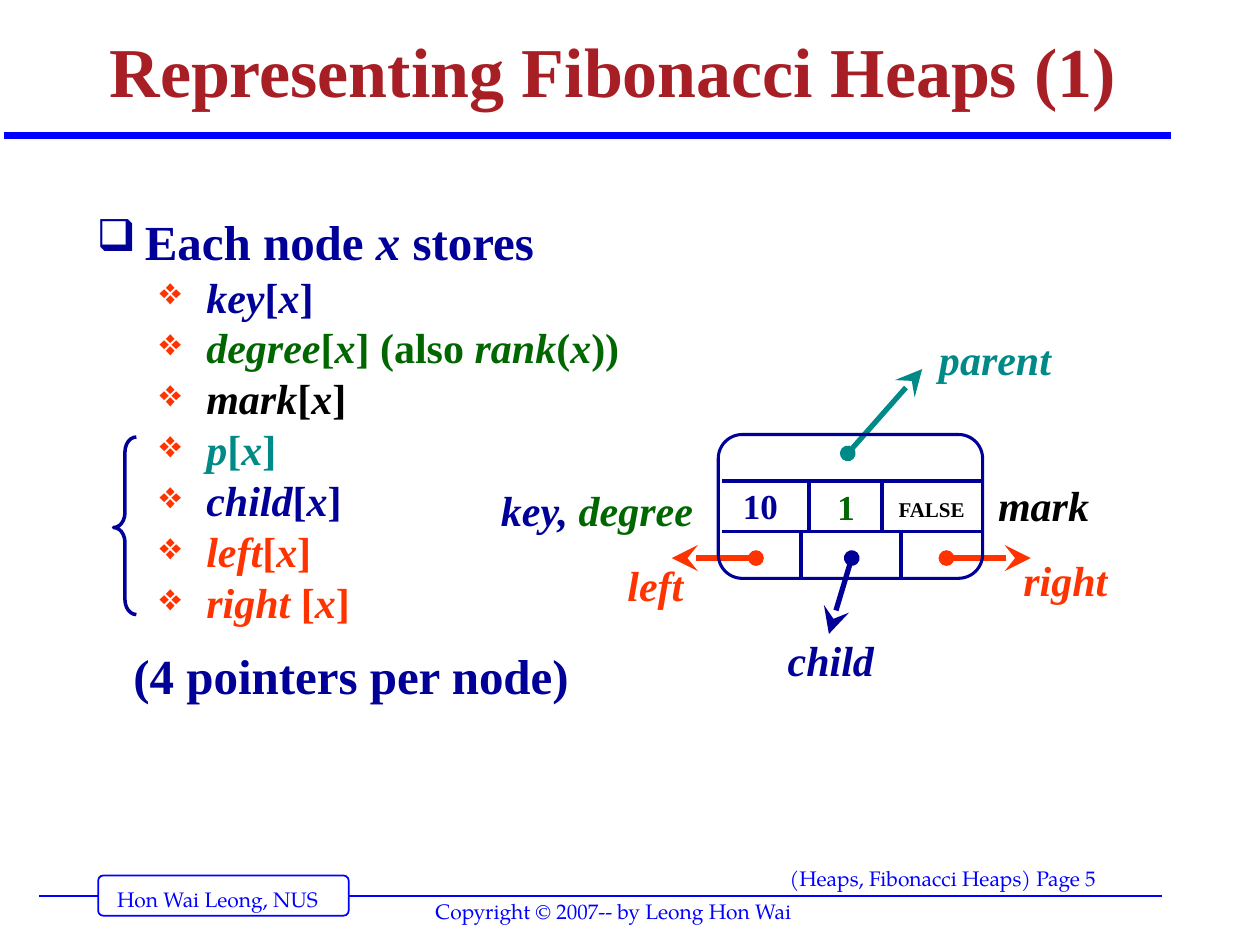
from dataclasses import dataclass
from typing import Optional

import pptx
import pptx.dml.color
import pptx.enum.shapes
import pptx.enum.text
import pptx.oxml
import pptx.oxml.ns
import pptx.util
from lxml import etree

Cm = pptx.util.Cm
Pt = pptx.util.Pt
PP_ALIGN = pptx.enum.text.PP_ALIGN
ANCHOR = pptx.enum.text.MSO_ANCHOR
AUTO_SIZE = pptx.enum.text.MSO_AUTO_SIZE
SHAPE = pptx.enum.shapes.MSO_SHAPE

COLORS = {"blue": "0000FF", "navy": "000099", "red": "A81E25", "orange": "FF3300",
          "teal": "008A87", "green": "006600", "black": "000000", "white": "FFFFFF"}
SERIF = "Times New Roman"
FOOTER_FONT = "TeX Gyre Pagella"


@dataclass
class Span:
    text: str
    color: str
    size: float
    italic: bool = False
    bold: bool = True
    font: str = SERIF


@dataclass
class Label:
    spans: list[Span]
    left: float
    top: float
    width: float
    height: float = 1.27
    align: PP_ALIGN = PP_ALIGN.LEFT


@dataclass
class Segment:
    start: tuple[float, float]
    end: tuple[float, float]
    color: str = "navy"
    weight: float = 2
    pointer: bool = False


@dataclass
class Bullet:
    symbol: str
    color: str
    margin: float
    hanging: float


def rgb(name: str) -> pptx.dml.color.RGBColor:
    return pptx.dml.color.RGBColor.from_string(COLORS[name])


def add_child(parent, tag: str, **attributes: str):
    return etree.SubElement(parent, pptx.oxml.ns.qn(tag), attributes)


def write_spans(paragraph, spans: list[Span]) -> None:
    for span in spans:
        run = paragraph.add_run()
        run.text = span.text
        run.font.name, run.font.size = span.font, Pt(span.size)
        run.font.bold, run.font.italic = span.bold, span.italic
        run.font.color.rgb = rgb(span.color)


def add_frame(slide, box: tuple[float, ...], inset_x: float = 0.25, wrap: bool = True):
    frame = slide.shapes.add_textbox(*map(Cm, box)).text_frame
    frame.word_wrap = wrap
    frame.margin_left = frame.margin_right = Cm(inset_x)
    frame.margin_top = frame.margin_bottom = Cm(0.13)
    return frame


def add_label(slide, label: Label) -> None:
    frame = add_frame(slide, (label.left, label.top, label.width, label.height), 0.13)
    frame.paragraphs[0].alignment = label.align
    write_spans(frame.paragraphs[0], label.spans)


def add_segment(slide, segment: Segment) -> None:
    line = slide.shapes.add_connector(pptx.enum.shapes.MSO_CONNECTOR.STRAIGHT,
                                      *map(Cm, segment.start + segment.end))
    line.line.color.rgb = rgb(segment.color)
    line.line.width = Pt(segment.weight)
    properties = line._element.spPr
    if segment.pointer:
        outline = line.line._get_or_add_ln()
        add_child(outline, "a:headEnd", type="oval")
        add_child(outline, "a:tailEnd", type="stealth", w="lg", len="lg")
    add_child(properties, "a:effectLst")


def add_outline(slide, kind, box: tuple[float, ...], adjustments: list[float],
                color: str, weight: float, fill: Optional[str] = None) -> None:
    shape = slide.shapes.add_shape(kind, *map(Cm, box))
    shape.shadow.inherit = False
    for index, value in enumerate(adjustments):
        shape.adjustments[index] = value
    if fill:
        shape.fill.solid()
        shape.fill.fore_color.rgb = rgb(fill)
    else:
        shape.fill.background()
    shape.line.color.rgb = rgb(color)
    shape.line.width = Pt(weight)


def set_bullet(paragraph, bullet: Bullet) -> None:
    properties = paragraph._p.get_or_add_pPr()
    properties.set("marL", str(Cm(bullet.margin)))
    properties.set("indent", str(-Cm(bullet.hanging)))
    add_child(add_child(properties, "a:buClr"), "a:srgbClr", val=COLORS[bullet.color])
    add_child(properties, "a:buSzPct", val="90000")
    add_child(properties, "a:buChar", char=bullet.symbol)


def alternate(parts: list[str], color: str, size: float, italic_first: bool) -> list[Span]:
    """Spans that switch between italic and upright."""
    return [Span(part, color, size, italic=(index % 2 == 0) == italic_first)
            for index, part in enumerate(parts)]


def add_fields(slide) -> None:
    """The list of what each node stores."""
    top_bullet = Bullet("❑", "navy", 0.97, 0.97)
    field_bullet = Bullet("❖", "orange", 2.21, 0.94)
    field_rows = [("navy", ["key", "[", "x", "]"]),
                  ("green", ["degree", "[", "x", "] (also ", "rank", "(", "x", "))"]),
                  ("black", ["mark", "[", "x", "]"]),
                  ("teal", ["p", "[", "x", "]"]),
                  ("navy", ["child", "[", "x", "]"]),
                  ("orange", ["left", "[", "x", "]"]),
                  ("orange", ["right", " [", "x", "]"])]
    frame = add_frame(slide, (1.7, 4.37, 11.18, 10.29))
    heading = frame.paragraphs[0]
    set_bullet(heading, top_bullet)
    write_spans(heading, alternate(["Each node ", "x", " stores"], "navy", 28, False))
    for color, parts in field_rows:
        field = frame.add_paragraph()
        field.level = 1
        set_bullet(field, field_bullet)
        field.space_before = Pt(6)
        write_spans(field, alternate(parts, color, 24, True))
    summary = frame.add_paragraph()
    summary._p.get_or_add_pPr().set("marL", str(Cm(0.74)))
    summary.space_before = Pt(17.5)
    write_spans(summary, [Span("(4 pointers per node)", "navy", 28)])
    for paragraph in frame.paragraphs:
        paragraph.line_spacing = 0.8


def add_node(slide) -> None:
    """The node record with its four pointers."""
    pointers = [((17.09, 9.14), (18.59, 7.44), "teal"), ((19.08, 11.25), (20.78, 11.25), "orange"),
                ((17.17, 11.25), (16.71, 12.78), "navy"), ((15.24, 11.25), (13.54, 11.25), "orange")]
    for start, end, color in pointers:
        add_segment(slide, Segment(start, end, color, 3, pointer=True))

    names = [("parent", "teal", 18.8, 6.6, 2.74), ("right", "orange", 20.5, 11.05, 2.26),
             ("child", "navy", 15.75, 12.67, 2.74), ("mark", "black", 19.99, 9.53, 2.29),
             ("left", "orange", 12.52, 11.15, 1.57)]
    for name, color, left, top, width in names:
        add_label(slide, Label([Span(name, color, 24, italic=True)], left, top, width))
    key_degree = [Span("key, ", "navy", 24, italic=True), Span("degree", "green", 24, italic=True)]
    add_label(slide, Label(key_degree, 9.53, 9.63, 4.57, align=PP_ALIGN.RIGHT))

    # Record frame, row rules and column dividers
    add_outline(slide, SHAPE.ROUNDED_RECTANGLE, (14.48, 8.76, 5.33, 2.9), [0.167], "navy", 1.75)
    upper, lower, bottom = 9.7, 10.71, 11.67
    for y in (upper, lower):
        add_segment(slide, Segment((14.55, y), (19.79, y)))
    for x, top, end in ((16.31, upper, lower), (17.78, upper, lower),
                        (16.15, lower, bottom), (18.16, lower, bottom)):
        add_segment(slide, Segment((x, top), (x, end)))

    values = [("10", "navy", 20, 14.68, 9.63, 1.3, 1.12), ("1", "green", 20, 16.46, 9.65, 1.19, 1.12),
              ("FALSE", "black", 12, 17.65, 9.88, 2.26, 0.76)]
    for value, color, size, *box in values:
        add_label(slide, Label([Span(value, color, size)], *box, align=PP_ALIGN.CENTER))


def add_footer(slide) -> None:
    add_segment(slide, Segment((0.79, 18.06), (23.42, 18.06), "blue", 1))
    add_outline(slide, SHAPE.ROUNDED_RECTANGLE, (1.98, 17.65, 5.05, 0.81), [0.125], "blue", 1, "white")
    for text, box in (("Hon Wai Leong, NUS", (2.11, 17.75, 4.62, 0.76)),
                      ("(Heaps, Fibonacci Heaps) Page 5", (15.67, 17.32, 8.74, 0.81)),
                      ("Copyright © 2007-- by Leong Hon Wai", (8.53, 17.98, 8, 0.76))):
        frame = add_frame(slide, box, wrap=False)
        frame.auto_size = AUTO_SIZE.SHAPE_TO_FIT_TEXT
        write_spans(frame.paragraphs[0], [Span(text, "blue", 12, bold=False, font=FOOTER_FONT)])


def main() -> None:
    deck = pptx.Presentation()
    deck.slide_width, deck.slide_height = Cm(25.4), Cm(19.05)
    slide = deck.slides.add_slide(deck.slide_layouts[6])
    add_footer(slide)

    # Title and its rule
    add_segment(slide, Segment((0.08, 2.74), (23.6, 2.74), "blue", 4))
    title = add_frame(slide, (1.96, 0.2, 21.59, 2.21))
    title.vertical_anchor = ANCHOR.BOTTOM
    title.paragraphs[0].line_spacing = 0.9
    write_spans(title.paragraphs[0], [Span("Representing Fibonacci Heaps (1)", "red", 40)])

    add_fields(slide)
    # Brace around the four pointer fields
    add_outline(slide, SHAPE.LEFT_BRACE, (2.29, 8.81, 0.46, 3.58), [0.65, 0.51], "navy", 2)
    add_node(slide)
    deck.save("out.pptx")


if __name__ == "__main__":
    main()
